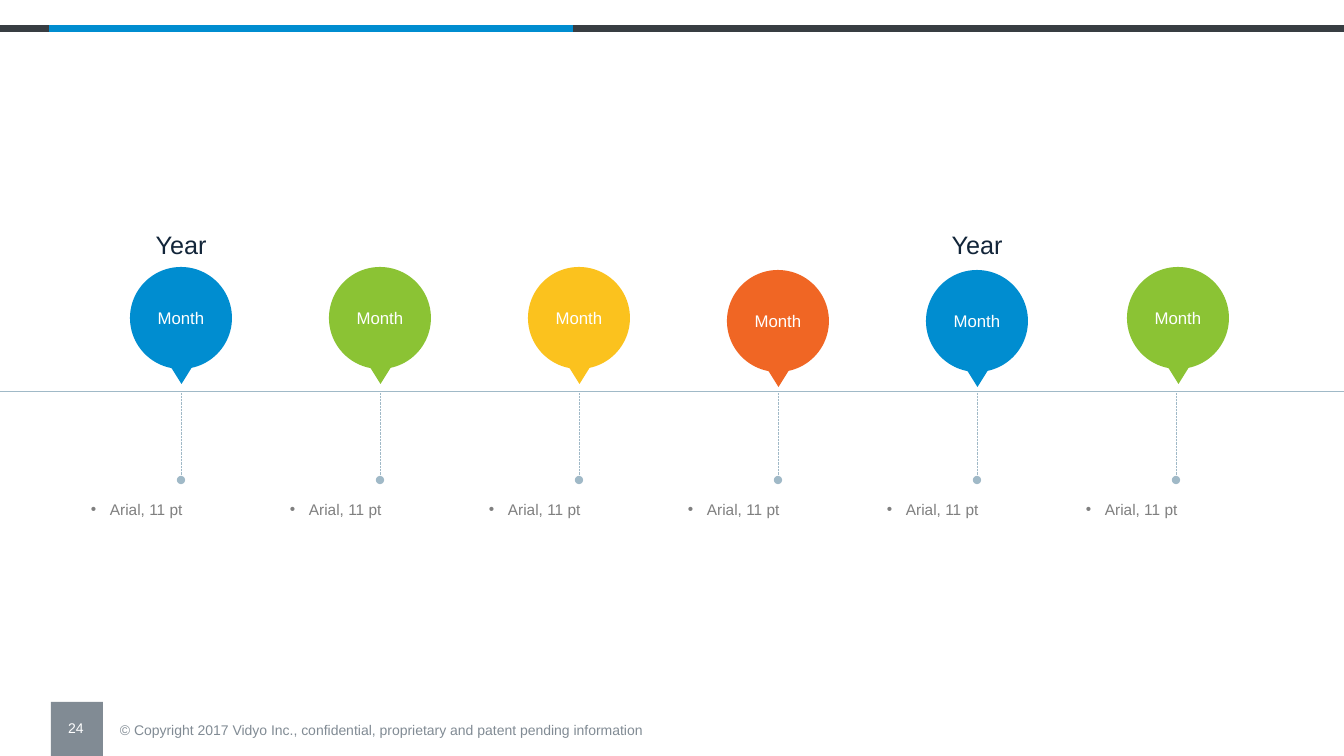
from lxml import etree
from pptx import Presentation
from pptx import util as u
from pptx.dml.color import RGBColor
from pptx.enum import dml, shapes, text
from pptx.oxml.ns import qn

BLUE = RGBColor(0x00, 0x8D, 0xD0)
GREEN = RGBColor(0x8B, 0xC3, 0x34)
YELLOW = RGBColor(0xFB, 0xC2, 0x1E)
ORANGE = RGBColor(0xF0, 0x66, 0x24)
CHARCOAL = RGBColor(0x38, 0x3D, 0x42)
SLATE = RGBColor(0x81, 0x8B, 0x94)
PALE_BLUE = RGBColor(0xA0, 0xB9, 0xC7)
GRAY = RGBColor(0x7F, 0x7F, 0x7F)
NAVY = RGBColor(0x12, 0x25, 0x39)
WHITE = RGBColor(0xFF, 0xFF, 0xFF)

PX_PER_INCH = 100.8
SLIDE_WIDTH, SLIDE_HEIGHT = 1344, 756
FIRST_CENTER, COLUMN_STEP = 181, 199

# colour, horizontal and vertical nudge of the pin, year above it
MILESTONES = [
    (BLUE, 0, 0, "Year"),
    (GREEN, 0, 0, ""),
    (YELLOW, 0, 0, ""),
    (ORANGE, 0, 3, ""),
    (BLUE, 0, 3, "Year"),
    (GREEN, 2, 0, ""),
]


def px(length):
    return u.Inches(length / PX_PER_INCH)


class TimelineSlide:
    font_name = "Arial"

    def __init__(self, presentation):
        self.slide = presentation.slides.add_slide(presentation.slide_layouts[6])

    def style(self, paragraph, size, color, align):
        paragraph.alignment = align
        for run in paragraph.runs:
            run.font.name = self.font_name
            run.font.size = u.Pt(size)
            run.font.color.rgb = color

    def shape(self, kind, left, top, width, height, color):
        shape = self.slide.shapes.add_shape(
            kind, px(left), px(top), px(width), px(height))
        shape.shadow.inherit = False
        shape.fill.solid()
        shape.fill.fore_color.rgb = color
        shape.line.fill.background()
        return shape

    def line(self, start, end, color, width):
        connector = self.slide.shapes.add_connector(
            shapes.MSO_CONNECTOR.STRAIGHT, *map(px, start + end))
        connector.line.color.rgb = color
        connector.line.width = u.Pt(width)
        etree.SubElement(connector._element.spPr, qn("a:effectLst"))
        return connector

    def dotted_drop(self, center):
        """Dotted line below the axis, ending in a dot."""
        connector = self.line((center, 393), (center, 480), PALE_BLUE, 0.5)
        connector.line.dash_style = dml.MSO_LINE.ROUND_DOT
        etree.SubElement(connector.line._get_or_add_ln(), qn("a:tailEnd"), type="oval")

    def text(self, words, left, top, width, height, size, color,
             align=text.PP_ALIGN.LEFT, anchor=text.MSO_ANCHOR.TOP, wrap=True):
        box = self.slide.shapes.add_textbox(px(left), px(top), px(width), px(height))
        frame = box.text_frame
        frame.text = words
        frame.word_wrap = wrap
        frame.auto_size = text.MSO_AUTO_SIZE.SHAPE_TO_FIT_TEXT
        frame.vertical_anchor = anchor
        self.style(frame.paragraphs[0], size, color, align)
        return frame

    def bullet(self, words, left, top, width, height):
        frame = self.text(words, left, top, width, height, 11, GRAY)
        frame.margin_top = frame.margin_bottom = 0
        properties = frame.paragraphs[0]._p.get_or_add_pPr()
        properties.set("marL", str(px(19)))
        properties.set("indent", str(-px(19)))
        etree.SubElement(properties, qn("a:buFont"), typeface=self.font_name)
        etree.SubElement(properties, qn("a:buChar"), char="•")

    def pin(self, center, top, color):
        circle = self.shape(shapes.MSO_SHAPE.OVAL, center - 51, top, 102, 102, color)
        frame = circle.text_frame
        frame.margin_left = frame.margin_right = 0
        frame.margin_top = frame.margin_bottom = 0
        frame.vertical_anchor = text.MSO_ANCHOR.MIDDLE
        frame.text = "Month"
        self.style(frame.paragraphs[0], 12, WHITE, text.PP_ALIGN.CENTER)
        tip = self.shape(shapes.MSO_SHAPE.ISOSCELES_TRIANGLE,
                         center - 17, top + 89, 35, 28, color)
        tip.rotation = 180

    def milestone(self, center, color, shift, drop, year):
        self.pin(center + shift, 267 + drop, color)
        self.dotted_drop(center)
        self.bullet("Arial, 11 pt", center - 100, 500, 202, 19)
        if year:
            self.text(year, center - 36, 224, 72, 40, 18, NAVY,
                      align=text.PP_ALIGN.CENTER, wrap=False)

    def header(self):
        for start, end, color in [(49, 573, BLUE), (0, 49, CHARCOAL),
                                  (573, SLIDE_WIDTH, CHARCOAL)]:
            self.line((start, 29), (end, 29), color, 5)

    def footer(self):
        self.shape(shapes.MSO_SHAPE.RECTANGLE, 51, 702, 52, 54, SLATE)
        number = self.text("24", 56, 709, 40, 40, 10, WHITE,
                           text.PP_ALIGN.CENTER, text.MSO_ANCHOR.MIDDLE)
        number.paragraphs[0].line_spacing = 0.9
        self.text("© Copyright 2017 Vidyo Inc., confidential, proprietary "
                  "and patent pending information",
                  110, 716, 784, 27, 10, SLATE, anchor=text.MSO_ANCHOR.MIDDLE)


def main():
    presentation = Presentation()
    presentation.slide_width = px(SLIDE_WIDTH)
    presentation.slide_height = px(SLIDE_HEIGHT)
    timeline = TimelineSlide(presentation)
    timeline.footer()
    timeline.header()
    timeline.line((0, 391), (SLIDE_WIDTH, 391), PALE_BLUE, 0.5)
    for column, milestone in enumerate(MILESTONES):
        timeline.milestone(FIRST_CENTER + column * COLUMN_STEP, *milestone)
    presentation.save("out.pptx")


if __name__ == "__main__":
    main()
